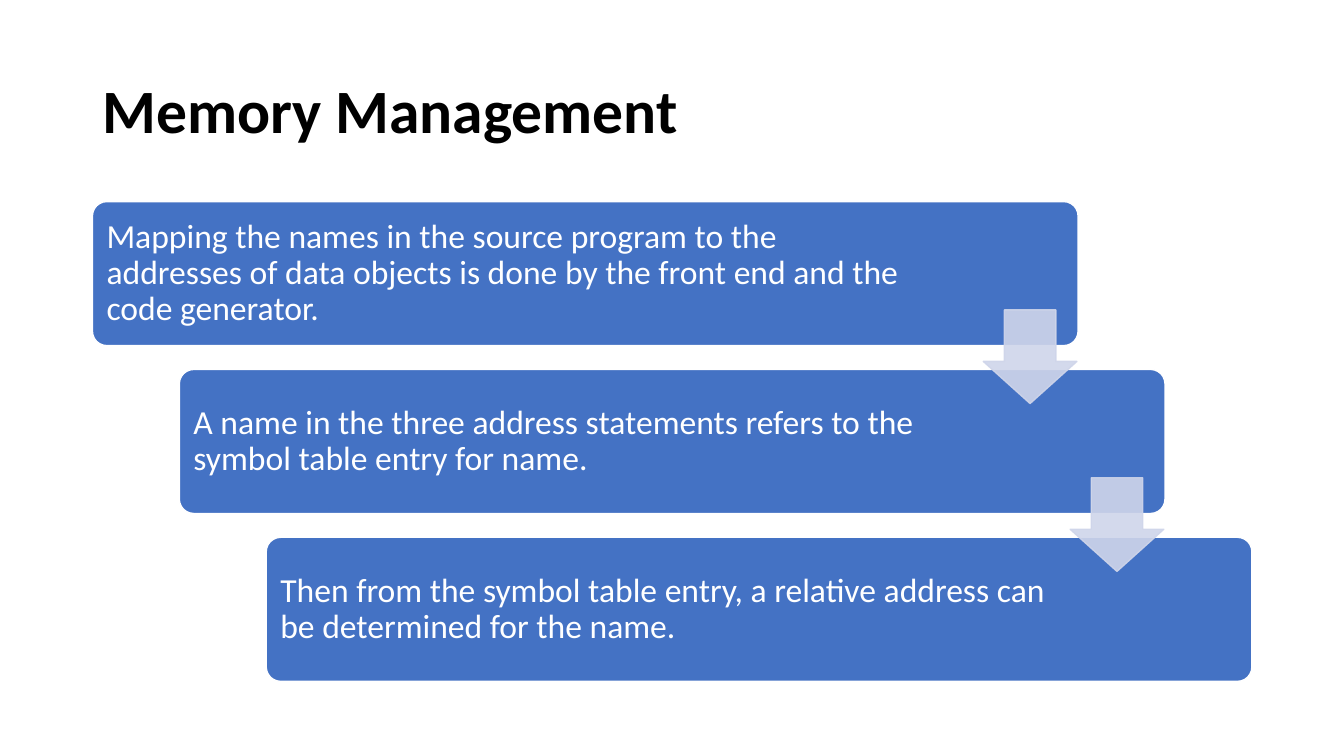
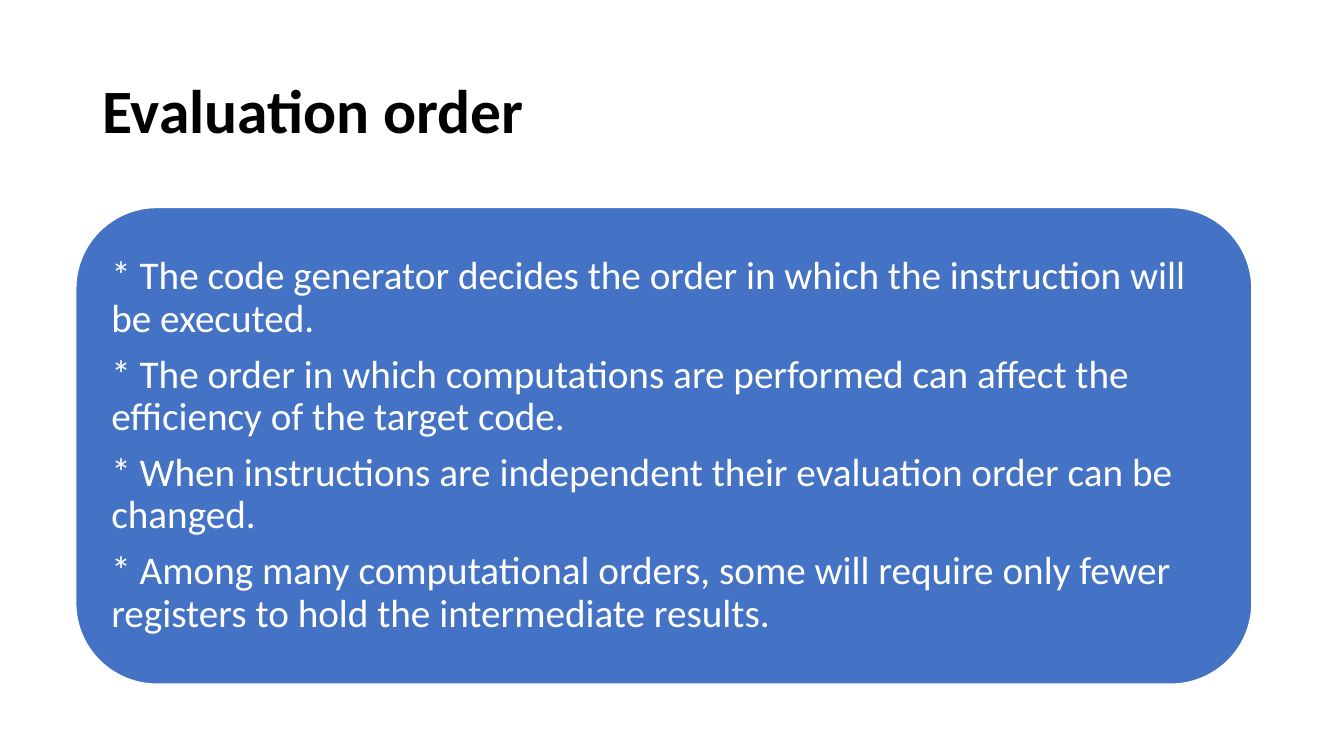
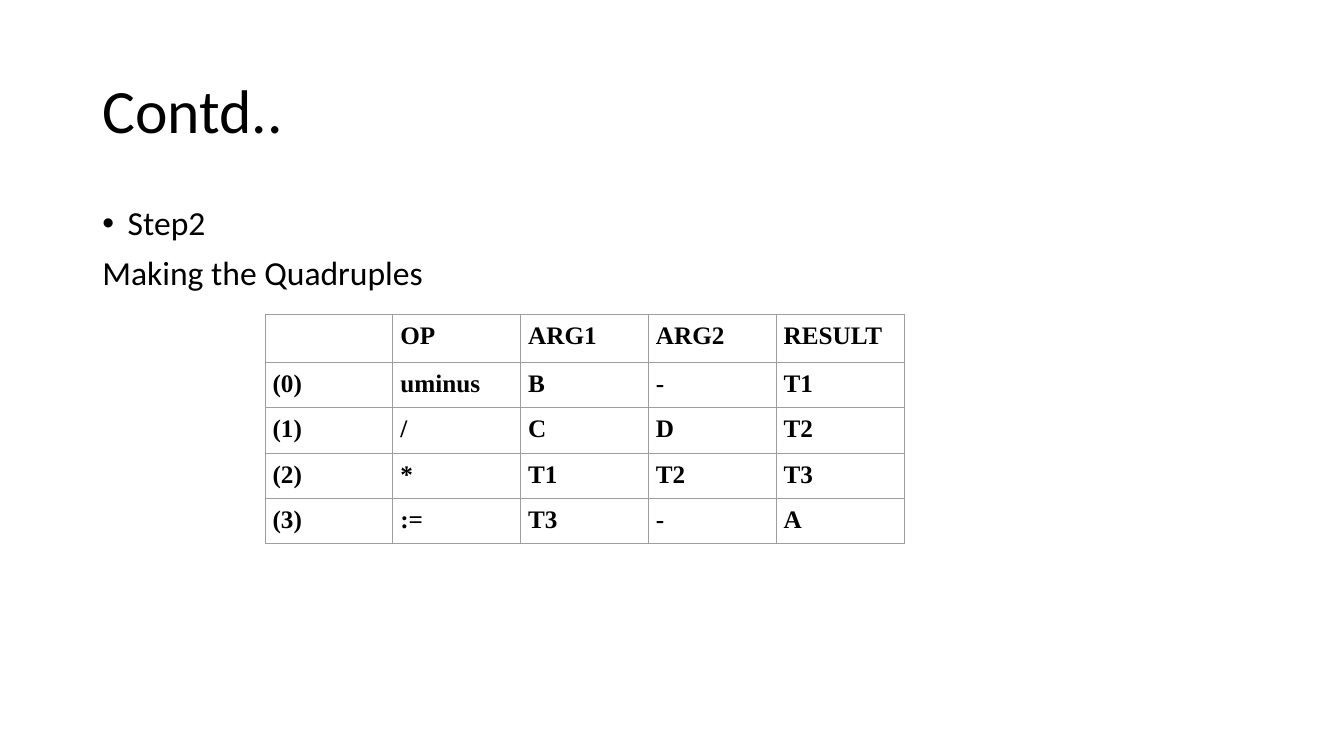
from pptx import Presentation
from pptx import util as u
from pptx.dml.color import RGBColor
from pptx.enum import shapes, text
from pptx.oxml import ns
from lxml import etree

BLACK = RGBColor(0x00, 0x00, 0x00)
WHITE = RGBColor(0xFF, 0xFF, 0xFF)
BLUE = RGBColor(0x44, 0x72, 0xC4)
PALE_BLUE = RGBColor(0xCF, 0xD5, 0xEA)
GREY = RGBColor(0x9E, 0x9E, 0x9E)
BODY_FONT = "Calibri"
TABLE_FONT = "Times New Roman"
MARGIN_LEFT = u.Cm(2.33)
CONTENT_WIDTH = u.Cm(29.21)
CONTENT_TOP = u.Cm(5.08)

CARDS = [
    ("Mapping the names in the source program to the addresses of data objects "
     "is done by the front end and the code generator.", u.Cm(3.98)),
    ("A name in the three address statements refers to the symbol table entry "
     "for name.", u.Cm(4.82)),
    ("Then from the symbol table entry, a relative address can be determined "
     "for the name.", u.Cm(4.82)),
]
ORDER_NOTES = [
    "* The code generator decides the order in which the instruction will be executed.",
    "* The order in which computations are performed can affect the efficiency of the target code.",
    "* When instructions are independent their evaluation order can be changed.",
    "* Among many computational orders, some will require only fewer registers to hold "
    "the intermediate results.",
]
QUADRUPLES = [
    ["", "OP", "ARG1", "ARG2", "RESULT"],
    ["(0)", "uminus", "B", "-", "T1"],
    ["(1)", "/", "C", "D", "T2"],
    ["(2)", "*", "T1", "T2", "T3"],
    ["(3)", ":=", "T3", "-", "A"],
]


def add_run(paragraph, words, size, color, font=BODY_FONT, bold=False):
    """Add one styled run to a paragraph."""
    run = paragraph.add_run()
    run.text = words
    run.font.name = font
    run.font.size = u.Pt(size)
    run.font.bold = bold
    run.font.color.rgb = color


def fill_text(frame, lines, size, color, gap=0, bold=False):
    """Write left-aligned paragraphs separated by a gap in points."""
    frame.word_wrap = True
    for index, line in enumerate(lines):
        paragraph = frame.add_paragraph() if index else frame.paragraphs[0]
        paragraph.alignment = text.PP_ALIGN.LEFT
        paragraph.line_spacing = 0.9
        paragraph.space_before = u.Pt(gap if index else 0)
        add_run(paragraph, line, size, color, bold=bold)


def add_title_slide(presentation, title, bold=True):
    """Add a blank slide carrying the shared title."""
    slide = presentation.slides.add_slide(presentation.slide_layouts[6])
    box = slide.shapes.add_textbox(MARGIN_LEFT, u.Cm(1.02), CONTENT_WIDTH, u.Cm(3.68))
    box.text_frame.vertical_anchor = text.MSO_ANCHOR.MIDDLE
    fill_text(box.text_frame, [title], 44, BLACK, bold=bold)
    return slide


def add_plain_shape(slide, kind, box, fill, line, adjustments):
    """Add a flat preset shape in the given box."""
    shape = slide.shapes.add_shape(kind, *box)
    shape.shadow.inherit = False
    shape.fill.solid()
    shape.fill.fore_color.rgb = fill
    shape.line.color.rgb = line
    shape.line.width = u.Pt(1)
    for index, value in enumerate(adjustments):
        shape.adjustments[index] = value
    return shape


def add_card(slide, box, lines, size, corner, inset, right_inset, gap=0):
    """Add a blue rounded card with white text."""
    card = add_plain_shape(slide, shapes.MSO_SHAPE.ROUNDED_RECTANGLE, box, BLUE, WHITE, [corner])
    frame = card.text_frame
    frame.vertical_anchor = text.MSO_ANCHOR.MIDDLE
    frame.margin_left = frame.margin_top = frame.margin_bottom = inset
    frame.margin_right = right_inset
    fill_text(frame, lines, size, WHITE, gap)


def add_step_arrow(slide, left, top):
    """Add a translucent down arrow joining two cards."""
    side = u.Cm(2.36)
    arrow = add_plain_shape(slide, shapes.MSO_SHAPE.DOWN_ARROW, (left, top, side, side),
                            PALE_BLUE, PALE_BLUE, [0.45, 0.45])
    arrow.adjustments[0] = 0.55
    for color in arrow.element.spPr.iter(ns.qn("a:srgbClr")):
        etree.SubElement(color, ns.qn("a:alpha"), val="90000")


def add_staircase(slide, left, top):
    """Place the cards as descending steps linked by arrows."""
    places = [(left + u.Cm(2.19) * step, top + u.Cm(4.23) * step) for step in range(len(CARDS))]
    for (x, y), (words, right_inset) in zip(places, CARDS):
        add_card(slide, (x, y, u.Cm(24.84), u.Cm(3.63)), [words], 24, 0.1,
                 u.Cm(0.25), right_inset)
    for x, y in places[:-1]:
        add_step_arrow(slide, x + u.Cm(22.45), y + u.Cm(2.73))


def add_step_text(slide, left, top):
    """Place the bulleted step name and its description."""
    box = slide.shapes.add_textbox(left, top, CONTENT_WIDTH, u.Cm(2.8))
    fill_text(box.text_frame, ["Step2", "Making the Quadruples"], 24, BLACK, gap=10)
    properties = box.text_frame.paragraphs[0]._p.get_or_add_pPr()
    properties.set("marL", str(u.Cm(0.64)))
    properties.set("indent", str(-u.Cm(0.64)))
    etree.SubElement(properties, ns.qn("a:buFont"), typeface="Arial")
    etree.SubElement(properties, ns.qn("a:buChar"), char="•")


def add_cell_borders(cell):
    """Draw a thin grey line on each side of a cell."""
    properties = cell._tc.get_or_add_tcPr()
    for index, side in enumerate(("a:lnL", "a:lnR", "a:lnT", "a:lnB")):
        line = etree.Element(ns.qn(side), w=str(u.Pt(0.6)))
        fill = etree.SubElement(line, ns.qn("a:solidFill"))
        etree.SubElement(fill, ns.qn("a:srgbClr"), val=str(GREY))
        properties.insert(index, line)


def add_quadruple_table(slide, left, top):
    """Place the table of quadruples."""
    column_width, header_height, row_height = u.Cm(3.22), u.Cm(1.21), u.Cm(1.13)
    rows, columns = len(QUADRUPLES), len(QUADRUPLES[0])
    table = slide.shapes.add_table(rows, columns, left, top, column_width * columns,
                                   header_height + row_height * (rows - 1)).table
    table.first_row = table.horz_banding = False
    for column in table.columns:
        column.width = column_width
    for index, (row, values) in enumerate(zip(table.rows, QUADRUPLES)):
        row.height = row_height if index else header_height
        for cell, value in zip(row.cells, values):
            cell.margin_left = cell.margin_right = u.Cm(0.19)
            cell.margin_top = cell.margin_bottom = u.Cm(0.19)
            cell.fill.background()
            add_cell_borders(cell)
            if value:
                add_run(cell.text_frame.paragraphs[0], value, 18, BLACK, TABLE_FONT, True)


def main():
    """Build and save the presentation."""
    presentation = Presentation()
    presentation.slide_width = u.Cm(33.87)
    presentation.slide_height = u.Cm(19.05)

    slide = add_title_slide(presentation, "Memory Management")
    add_staircase(slide, MARGIN_LEFT, CONTENT_TOP)

    slide = add_title_slide(presentation, "Evaluation order")
    add_card(slide, (u.Cm(1.91), u.Cm(5.23), u.Cm(29.64), u.Cm(12.01)), ORDER_NOTES, 28,
             0.17, u.Cm(0.3), u.Cm(0.3), gap=9.8)

    slide = add_title_slide(presentation, "Contd..", bold=False)
    add_step_text(slide, MARGIN_LEFT, CONTENT_TOP)
    add_quadruple_table(slide, u.Cm(6.68), u.Cm(7.92))

    presentation.save("out.pptx")


if __name__ == "__main__":
    main()
